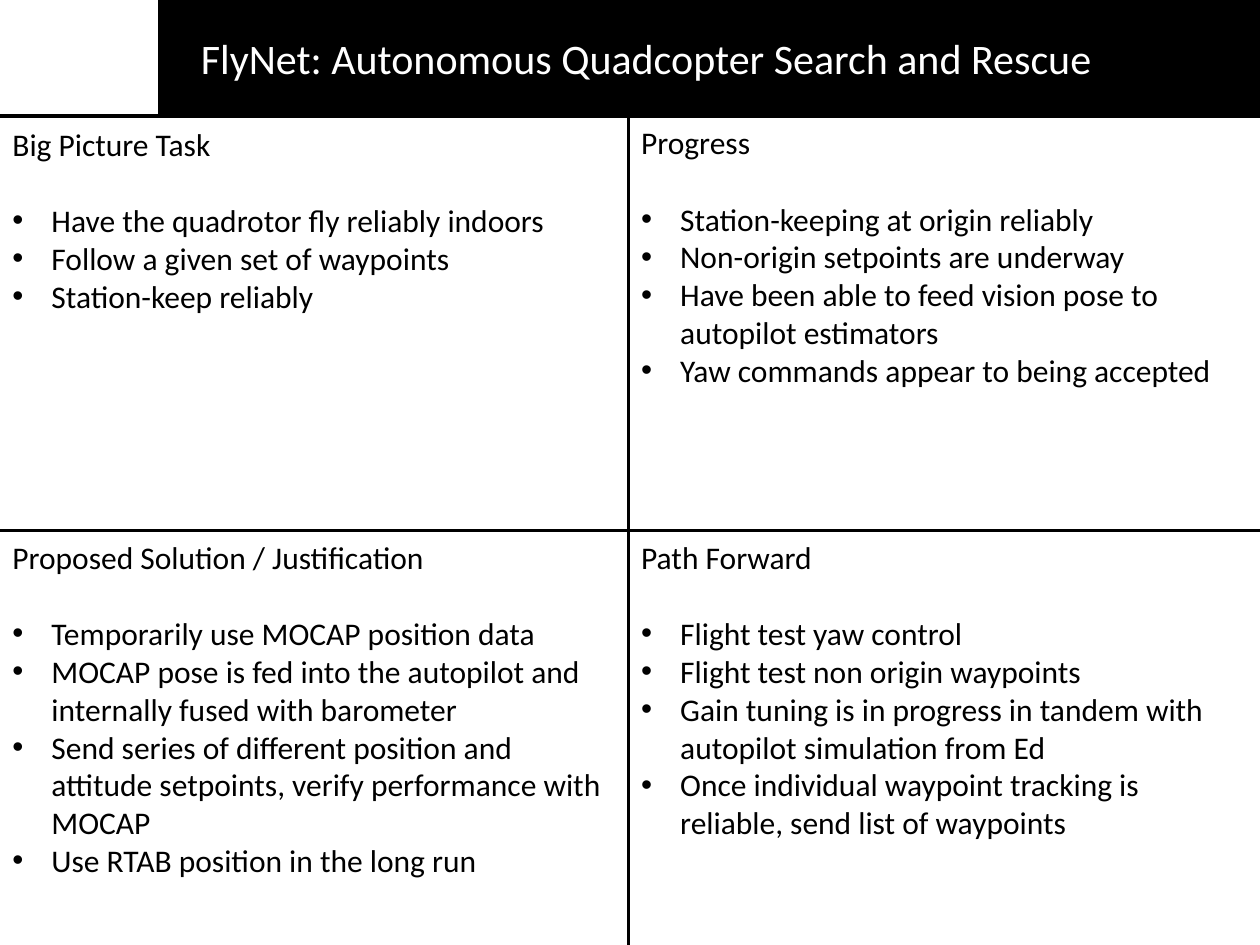
from lxml import etree
from pptx import Presentation
from pptx.dml.color import RGBColor
from pptx.enum.shapes import MSO_CONNECTOR, MSO_SHAPE
from pptx.enum.text import MSO_AUTO_SIZE, PP_ALIGN
from pptx.oxml.ns import qn
from pptx.util import Inches, Pt

RECTANGLE = MSO_SHAPE.RECTANGLE
STRAIGHT = MSO_CONNECTOR.STRAIGHT
FIT_SHAPE = MSO_AUTO_SIZE.SHAPE_TO_FIT_TEXT
CENTER = PP_ALIGN.CENTER

FONT = "Calibri"
BLACK = "000000"
WHITE = "FFFFFF"
WIDTH, HEIGHT = 10, 7.5
HEADER_BOTTOM = 0.92
MIDDLE_X, MIDDLE_Y = 4.99, 4.21
BULLET_INDENT = 0.31
HEADING_GAP = 22  # one line of body text, in points

QUADRANTS = [
    (0, 0.94, MIDDLE_X, 1.62, "Big Picture Task", [
        "Have the quadrotor fly reliably indoors",
        "Follow a given set of waypoints",
        "Station-keep reliably",
    ]),
    (MIDDLE_X, 0.93, WIDTH - MIDDLE_X, 2.22, "Progress", [
        "Station-keeping at origin reliably",
        "Non-origin setpoints are underway",
        "Have been able to feed vision pose to autopilot estimators",
        "Yaw commands appear to being accepted",
    ]),
    (0, 4.22, MIDDLE_X, 2.83, "Proposed Solution / Justification", [
        "Temporarily use MOCAP position data",
        "MOCAP pose is fed into the autopilot and internally fused with barometer",
        "Send series of different position and attitude setpoints, "
        "verify performance with MOCAP",
        "Use RTAB position in the long run",
    ]),
    (MIDDLE_X, 4.22, MIDDLE_X, 2.83, "Path Forward", [
        "Flight test yaw control",
        "Flight test non origin waypoints",
        "Gain tuning is in progress in tandem with autopilot simulation from Ed",
        "Once individual waypoint tracking is reliable, send list of waypoints",
    ]),
]


def color(hex_string):
    return RGBColor.from_string(hex_string)


def add_divider(slide, x1, y1, x2, y2):
    line = slide.shapes.add_connector(
        STRAIGHT, Inches(x1), Inches(y1), Inches(x2), Inches(y2))
    line.line.color.rgb = color(BLACK)
    line.line.width = Pt(2)
    etree.SubElement(line._element.spPr, qn("a:effectLst"))


def add_header_band(slide, left, top, width, height):
    band = slide.shapes.add_shape(
        RECTANGLE, Inches(left), Inches(top), Inches(width), Inches(height))
    band.shadow.inherit = False
    band.fill.solid()
    band.fill.fore_color.rgb = color(BLACK)
    band.line.color.rgb = color(BLACK)
    band.line.width = Pt(0.75)


def add_text_frame(slide, left, top, width, height):
    box = slide.shapes.add_textbox(
        Inches(left), Inches(top), Inches(width), Inches(height))
    frame = box.text_frame
    frame.word_wrap = True
    frame.auto_size = FIT_SHAPE
    return frame


def write(paragraph, text, size, text_color):
    paragraph.text = text
    paragraph.font.name = FONT
    paragraph.font.size = Pt(size)
    paragraph.font.color.rgb = color(text_color)


def add_bullet(paragraph):
    properties = paragraph._p.get_or_add_pPr()
    properties.set("marL", str(Inches(BULLET_INDENT)))
    properties.set("indent", str(-Inches(BULLET_INDENT)))
    etree.SubElement(properties, qn("a:buFont"), typeface="Arial")
    etree.SubElement(properties, qn("a:buChar"), char="•")


def add_title(slide, text):
    paragraph = add_text_frame(slide, 1.31, 0.21, 7.64, 0.5).paragraphs[0]
    paragraph.alignment = CENTER
    write(paragraph, text, 24, WHITE)


def add_quadrant(slide, left, top, width, height, heading, items):
    frame = add_text_frame(slide, left, top, width, height)
    heading_paragraph = frame.paragraphs[0]
    heading_paragraph.space_after = Pt(HEADING_GAP)
    write(heading_paragraph, heading, 18, BLACK)
    for item in items:
        paragraph = frame.add_paragraph()
        add_bullet(paragraph)
        write(paragraph, item, 18, BLACK)


def main():
    presentation = Presentation()
    presentation.slide_width = Inches(WIDTH)
    presentation.slide_height = Inches(HEIGHT)
    slide = presentation.slides.add_slide(presentation.slide_layouts[6])

    add_divider(slide, 0, HEADER_BOTTOM, WIDTH, HEADER_BOTTOM)
    add_header_band(slide, 1.26, 0, 8.74, 0.91)
    add_title(slide, "FlyNet: Autonomous Quadcopter Search and Rescue")
    add_divider(slide, MIDDLE_X, HEADER_BOTTOM, MIDDLE_X, HEIGHT)
    add_divider(slide, WIDTH, MIDDLE_Y, 0, MIDDLE_Y)
    for quadrant in QUADRANTS:
        add_quadrant(slide, *quadrant)

    presentation.save("out.pptx")


if __name__ == "__main__":
    main()
